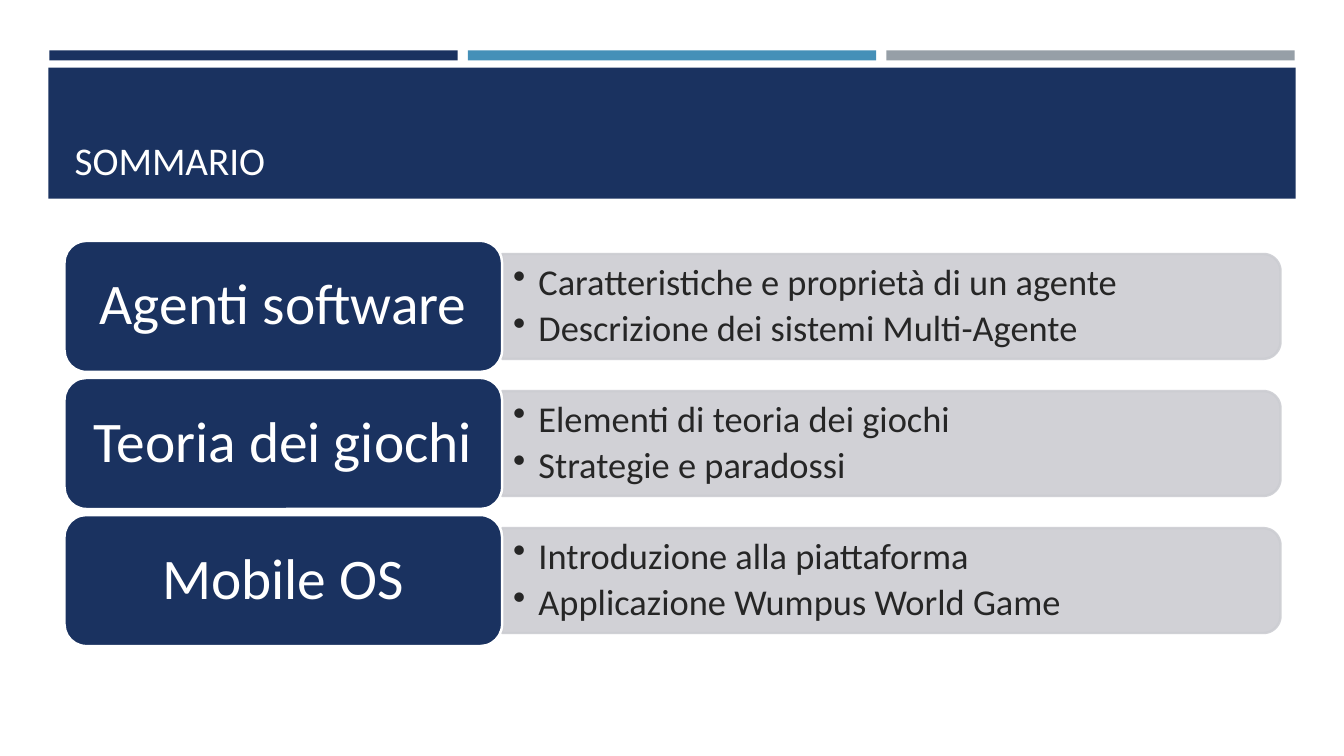
import math

from lxml import etree
from pptx import Presentation
from pptx.dml.color import RGBColor
from pptx.enum.shapes import MSO_SHAPE
from pptx.enum.text import MSO_ANCHOR, PP_ALIGN
from pptx.oxml.ns import qn
from pptx.util import Inches, Pt

RECTANGLE = MSO_SHAPE.RECTANGLE
ROUNDED = MSO_SHAPE.ROUNDED_RECTANGLE
MIDDLE, BOTTOM = MSO_ANCHOR.MIDDLE, MSO_ANCHOR.BOTTOM
LEFT, CENTER = PP_ALIGN.LEFT, PP_ALIGN.CENTER

FONT = "Calibri"
NAVY, BLUE, GRAY = "1A3260", "4590B8", "969FA7"
PANEL, WHITE, INK = "CCCDD2", "FFFFFF", "262626"

TOPICS = [
    ("Agenti software", ["Caratteristiche e proprietà di un agente",
                         "Descrizione dei sistemi Multi-Agente"]),
    ("Teoria dei giochi", ["Elementi di teoria dei giochi",
                           "Strategie e paradossi"]),
    ("Mobile OS", ["Introduzione alla piattaforma",
                   "Applicazione Wumpus World Game"]),
]
FIRST_TOP, ROW_PITCH = 2.39, 1.36
TOPIC_LEFT, TOPIC_WIDTH, TOPIC_HEIGHT = 0.64, 4.34, 1.3
PANEL_WIDTH, PANEL_HEIGHT, PANEL_RADIUS = 7.72, 1.04, 0.17


def set_color(fill, color, opacity=100):
    fill.solid()
    fill.fore_color.rgb = RGBColor.from_string(color)
    if opacity < 100:
        clr = fill._xPr.find(qn("a:solidFill")).find(qn("a:srgbClr"))
        etree.SubElement(clr, qn("a:alpha")).set("val", str(opacity * 1000))


def style_shape(shape, color, outline=None, opacity=100):
    shape.shadow.inherit = False
    set_color(shape.fill, color, opacity)
    if outline:
        shape.line.width = Pt(1.75)
        set_color(shape.line.fill, outline, opacity)
    else:
        shape.line.fill.background()


def set_frame(frame, anchor, insets):
    frame.word_wrap = True
    frame.vertical_anchor = anchor
    (frame.margin_left, frame.margin_top,
     frame.margin_right, frame.margin_bottom) = map(Inches, insets)


def style_paragraph(paragraph, size, color, align):
    paragraph.alignment = align
    paragraph.line_spacing = 0.9
    paragraph.font.name = FONT
    paragraph.font.size = Pt(size)
    set_color(paragraph.font.fill, color)


def add_bullet(paragraph):
    properties = paragraph._p.get_or_add_pPr()
    properties.set("marL", str(Inches(0.25)))
    properties.set("indent", str(Inches(-0.25)))
    etree.SubElement(properties, qn("a:buChar")).set("char", "•")


def add_bar(slide, left, top, width, height, color):
    bar = slide.shapes.add_shape(RECTANGLE, Inches(left), Inches(top),
                                 Inches(width), Inches(height))
    style_shape(bar, color)


def add_header(slide, text):
    for index, color in enumerate([NAVY, BLUE, GRAY]):
        add_bar(slide, 0.49 + 4.15 * index, 0.5, 4.05, 0.1, color)
    add_bar(slide, 0.48, 0.67, 12.37, 1.3, NAVY)

    title = slide.shapes.title
    slide.shapes._spTree.append(title._element)  # bring in front of the band
    title.left, title.top = Inches(0.64), Inches(0.77)
    title.width, title.height = Inches(12.06), Inches(1.11)
    title.text = text
    set_frame(title.text_frame, BOTTOM, (0.1, 0.05, 0.1, 0.05))
    style_paragraph(title.text_frame.paragraphs[0], 28, WHITE, LEFT)


def corner(center_x, center_y, start_angle):
    """Points of a quarter circle, clockwise on the slide."""
    angles = [math.radians(start_angle + step * 7.5) for step in range(13)]
    return [(Inches(center_x + PANEL_RADIUS * math.cos(angle)),
             Inches(center_y + PANEL_RADIUS * math.sin(angle)))
            for angle in angles]


def add_detail_panel(slide, left, top, details):
    """Panel with square left corners and round right corners."""
    bottom = top + PANEL_HEIGHT
    arc_x = left + PANEL_WIDTH - PANEL_RADIUS
    outline = slide.shapes.build_freeform(Inches(left), Inches(top))
    outline.add_line_segments(
        corner(arc_x, top + PANEL_RADIUS, -90)
        + corner(arc_x, bottom - PANEL_RADIUS, 0)
        + [(Inches(left), Inches(bottom))])
    panel = outline.convert_to_shape()
    style_shape(panel, PANEL, PANEL, opacity=90)

    frame = panel.text_frame
    set_frame(frame, MIDDLE, (0.11, 0.1, 0.16, 0.1))
    frame.text = "\n".join(details)
    for paragraph in frame.paragraphs:
        add_bullet(paragraph)
        style_paragraph(paragraph, 26, INK, LEFT)
        paragraph.space_after = Pt(5)


def add_topic(slide, left, top, name):
    topic = slide.shapes.add_shape(ROUNDED, Inches(left), Inches(top),
                                   Inches(TOPIC_WIDTH), Inches(TOPIC_HEIGHT))
    style_shape(topic, NAVY, WHITE)
    set_frame(topic.text_frame, MIDDLE, (0.17, 0.09, 0.17, 0.09))
    topic.text_frame.text = name
    style_paragraph(topic.text_frame.paragraphs[0], 41, WHITE, CENTER)


def main():
    deck = Presentation()
    deck.slide_width, deck.slide_height = Inches(13.33), Inches(7.5)
    slide = deck.slides.add_slide(deck.slide_layouts[5])
    add_header(slide, "SOMMARIO")
    for row, (name, details) in enumerate(TOPICS):
        top = FIRST_TOP + ROW_PITCH * row
        add_detail_panel(slide, TOPIC_LEFT + TOPIC_WIDTH,
                         top + (TOPIC_HEIGHT - PANEL_HEIGHT) / 2, details)
        add_topic(slide, TOPIC_LEFT, top, name)
    deck.save("out.pptx")


if __name__ == "__main__":
    main()
